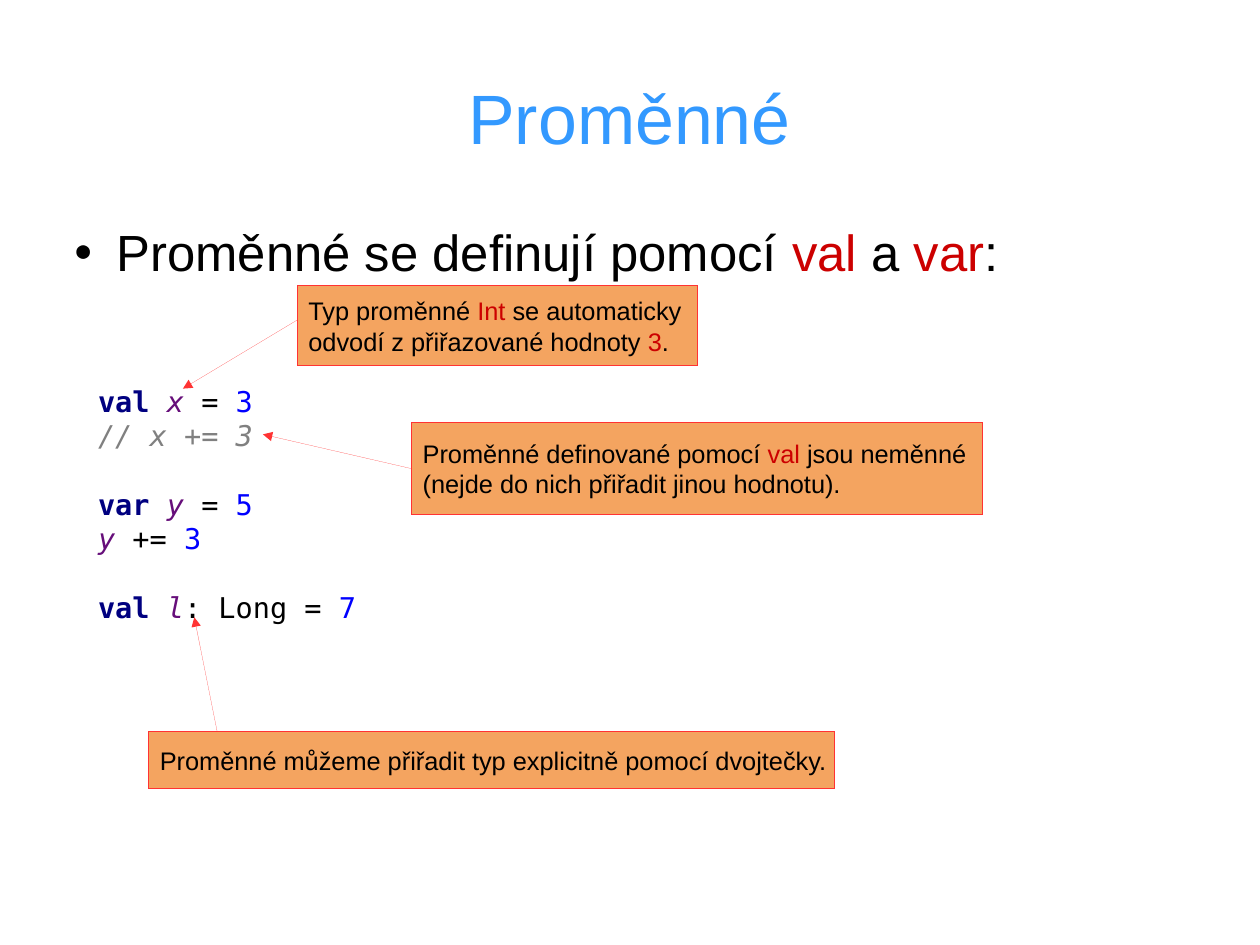
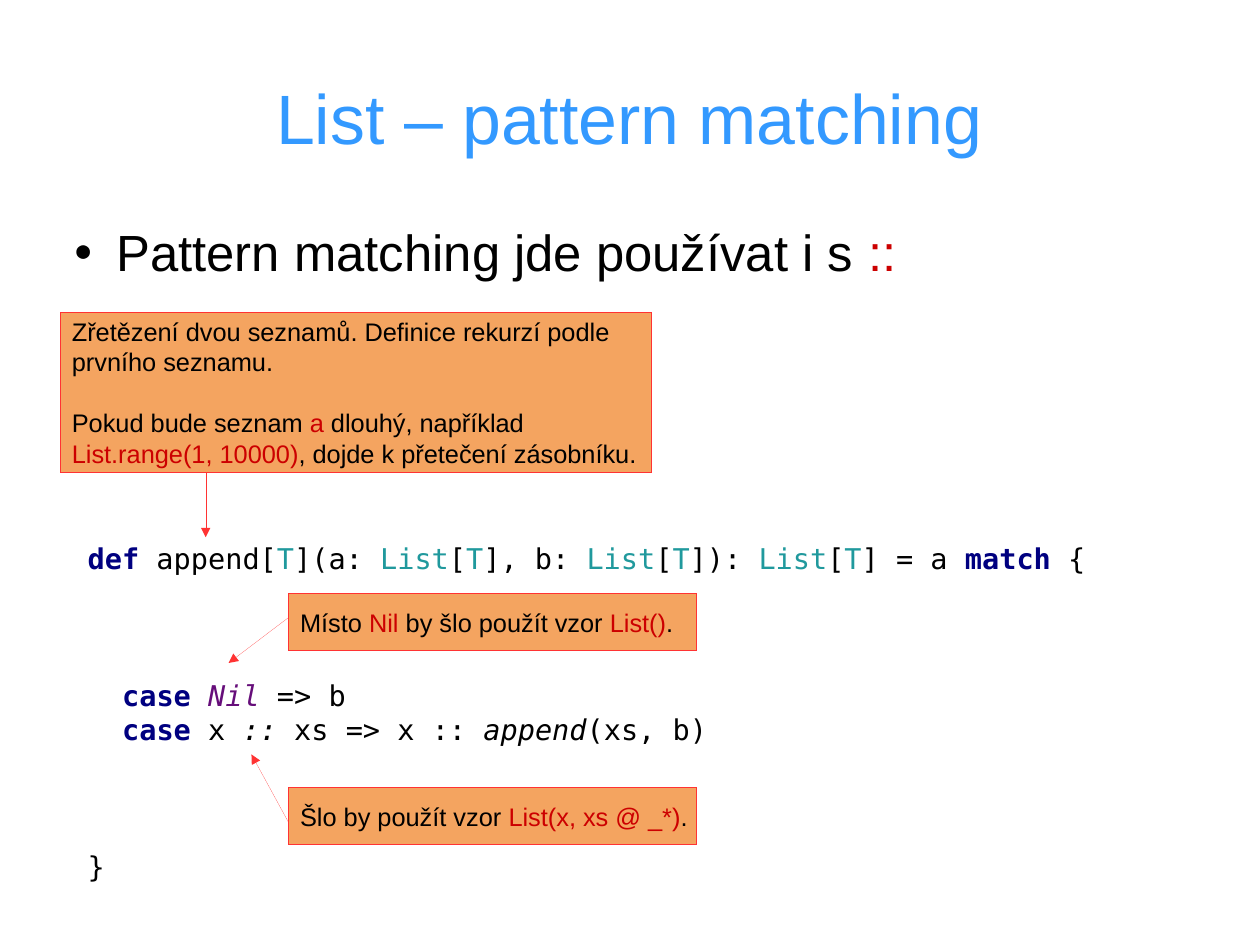
"""Build two slides on Scala variables and list pattern matching."""
from dataclasses import dataclass
from math import isclose

from lxml.etree import SubElement
from pptx import Presentation
from pptx.dml.color import RGBColor
from pptx.enum.shapes import MSO_CONNECTOR, MSO_SHAPE
from pptx.enum.text import MSO_ANCHOR, PP_ALIGN
from pptx.oxml.ns import qn
from pptx.util import Pt


@dataclass(frozen=True)
class Theme:
    text_font: str = "Arial"
    code_font: str = "DejaVu Sans Mono"
    title_size: float = 44
    body_size: float = 32
    code_size: float = 18
    note_size: float = 16
    code_line: float = 21.6
    note_line: float = 19.3
    note_fill: str = "F4A460"
    note_line_color: str = "FF3333"
    hairline: float = 0.01
    bullet: str = "000000"


theme = Theme()

STYLES = {
    "plain": ("000000", False, False),
    "title": ("3399FF", False, False),
    "mark": ("CC0000", False, False),
    "keyword": ("000080", True, False),
    "value": ("660E7A", False, True),
    "number": ("0000FF", False, False),
    "comment": ("808080", False, True),
    "type": ("20999D", False, False),
    "italic": ("000000", False, True),
}

SLIDES = [
    {
        "title": "Proměnné",
        "body": ["Proměnné se definují pomocí ", ("val", "mark"), " a ", ("var", "mark"), ":"],
        "code_at": (54.7, 238.3, 230.4, 154.8),
        "code": [
            [("val ", "keyword"), ("x ", "value"), "= ", ("3", "number")],
            [("// x += 3", "comment")],
            [],
            [("var ", "keyword"), ("y ", "value"), "= ", ("5", "number")],
            [("y ", "value"), "+= ", ("3", "number")],
            [],
            [("val ", "keyword"), ("l", "value"), ": Long = ", ("7", "number")],
        ],
        "notes": [
            ((259.2, 266.4, 360, 57.6), (259.2, 295.2), (165.6, 273.6), [
                ["Proměnné definované pomocí ", ("val", "mark"), " jsou neměnné"],
                ["(nejde do nich přiřadit jinou hodnotu)."],
            ]),
            ((93.6, 460.8, 432, 36), (136.8, 460.8), (122.4, 388.8), [
                ["Proměnné můžeme přiřadit typ explicitně pomocí dvojtečky."],
            ]),
            ((187.2, 180, 252, 50.4), (187.2, 201.6), (115.2, 244.8), [
                ["Typ proměnné ", ("Int", "mark"), " se automaticky"],
                ["odvodí z přiřazované hodnoty ", ("3", "mark"), "."],
            ]),
        ],
    },
    {
        "title": "List – pattern matching",
        "body": ["Pattern matching jde používat i s ", ("::", "mark")],
        "code_at": (48.2, 337, 671.8, 235.4),
        "code": [
            [("def ", "keyword"), "append[", ("T", "type"), "](a: ", ("List", "type"), "[",
             ("T", "type"), "], b: ", ("List", "type"), "[", ("T", "type"), "]): ",
             ("List", "type"), "[", ("T", "type"), "] = a ", ("match ", "keyword"), "{"],
            [],
            [],
            [],
            ["  ", ("case ", "keyword"), ("Nil ", "value"), "=> b"],
            ["  ", ("case ", "keyword"), "x ", (":: ", "italic"), "xs => x :: ",
             ("append", "italic"), "(xs, b)"],
            [],
            [],
            [],
            ["}"],
        ],
        "notes": [
            ((38.2, 196.6, 372.2, 100.8), (129.6, 297.4), (129.6, 338.4), [
                ["Zřetězení dvou seznamů. Definice rekurzí podle"],
                ["prvního seznamu."],
                [],
                ["Pokud bude seznam ", ("a", "mark"), " dlouhý, například"],
                [("List.range(1, 10000)", "mark"), ", dojde k přetečení zásobníku."],
            ]),
            ((182, 374, 257, 36), (182, 388.8), (144, 417.6), [
                ["Místo ", ("Nil", "mark"), " by šlo použít vzor ", ("List()", "mark"), "."],
            ]),
            ((182, 496, 257, 36), (182, 518.4), (158.4, 475.2), [
                ["Šlo by použít vzor ", ("List(x, xs @ _*)", "mark"), "."],
            ]),
        ],
    },
]


def write_lines(box, lines, font, size, line_height=0):
    """Write styled lines, turning each empty line into space before the next."""
    frame = box.text_frame
    frame.word_wrap = True
    paragraph, gap = None, 0
    for line in lines:
        if not line:
            gap += line_height
            continue
        paragraph = frame.add_paragraph() if paragraph else frame.paragraphs[0]
        paragraph.alignment = PP_ALIGN.LEFT
        if gap:
            paragraph.space_before = Pt(gap)
        gap = 0
        for part in line:
            text, style = (part, "plain") if isinstance(part, str) else part
            color, bold, italic = STYLES[style]
            span = paragraph.add_run()
            span.text = text
            span.font.name = font
            span.font.size = Pt(size)
            span.font.bold = bold
            span.font.italic = italic
            span.font.color.rgb = RGBColor.from_string(color)


def add_text(page, place, lines, font, size, line_height=0, inset=True):
    """Add a text box holding styled lines."""
    box = page.shapes.add_textbox(*map(Pt, place))
    frame = box.text_frame
    if not inset:
        frame.margin_left = frame.margin_right = frame.margin_top = frame.margin_bottom = 0
    write_lines(box, lines, font, size, line_height)
    return box


deck = Presentation()
deck.slide_width, deck.slide_height = Pt(793.75), Pt(595.25)

for content in SLIDES:
    page = deck.slides.add_slide(deck.slide_layouts[6])

    title = add_text(page, (39.6, 23.8, 714.2, 99.4), [[(content["title"], "title")]],
                     theme.text_font, theme.title_size, inset=False)
    title.text_frame.vertical_anchor = MSO_ANCHOR.MIDDLE
    title.text_frame.paragraphs[0].alignment = PP_ALIGN.CENTER

    body = add_text(page, (39.6, 139, 714.2, 344.9), [content["body"]],
                    theme.text_font, theme.body_size, inset=False)
    properties = body.text_frame.paragraphs[0]._p.get_or_add_pPr()
    properties.set("marL", str(Pt(33.8)))
    properties.set("indent", str(-Pt(25.2)))
    bullet_color = SubElement(properties, qn("a:buClr"))
    SubElement(bullet_color, qn("a:srgbClr")).set("val", theme.bullet)
    SubElement(properties, qn("a:buSzPct")).set("val", "45000")
    SubElement(properties, qn("a:buFont")).set("typeface", theme.code_font)
    SubElement(properties, qn("a:buChar")).set("char", "●")

    add_text(page, content["code_at"], content["code"],
             theme.code_font, theme.code_size, theme.code_line)

    for place, start, end, lines in content["notes"]:
        left, top, width, height = place
        note = page.shapes.add_shape(MSO_SHAPE.RECTANGLE, *map(Pt, place))
        note.shadow.inherit = False
        note.fill.solid()
        note.fill.fore_color.rgb = RGBColor.from_string(theme.note_fill)
        note.text_frame.vertical_anchor = MSO_ANCHOR.MIDDLE
        note.text_frame.margin_right = 0
        write_lines(note, lines, theme.text_font, theme.note_size, theme.note_line)

        arrow = page.shapes.add_connector(MSO_CONNECTOR.STRAIGHT, *map(Pt, start + end))
        if isclose(start[0], left) and isclose(start[1], top + height / 2):
            arrow.begin_connect(note, 1)
        for outlined in (note, arrow):
            outlined.line.color.rgb = RGBColor.from_string(theme.note_line_color)
            outlined.line.width = Pt(theme.hairline)
        SubElement(arrow.line._get_or_add_ln(), qn("a:tailEnd")).set("type", "triangle")
        SubElement(arrow._element.spPr, qn("a:effectLst"))

deck.save("out.pptx")
